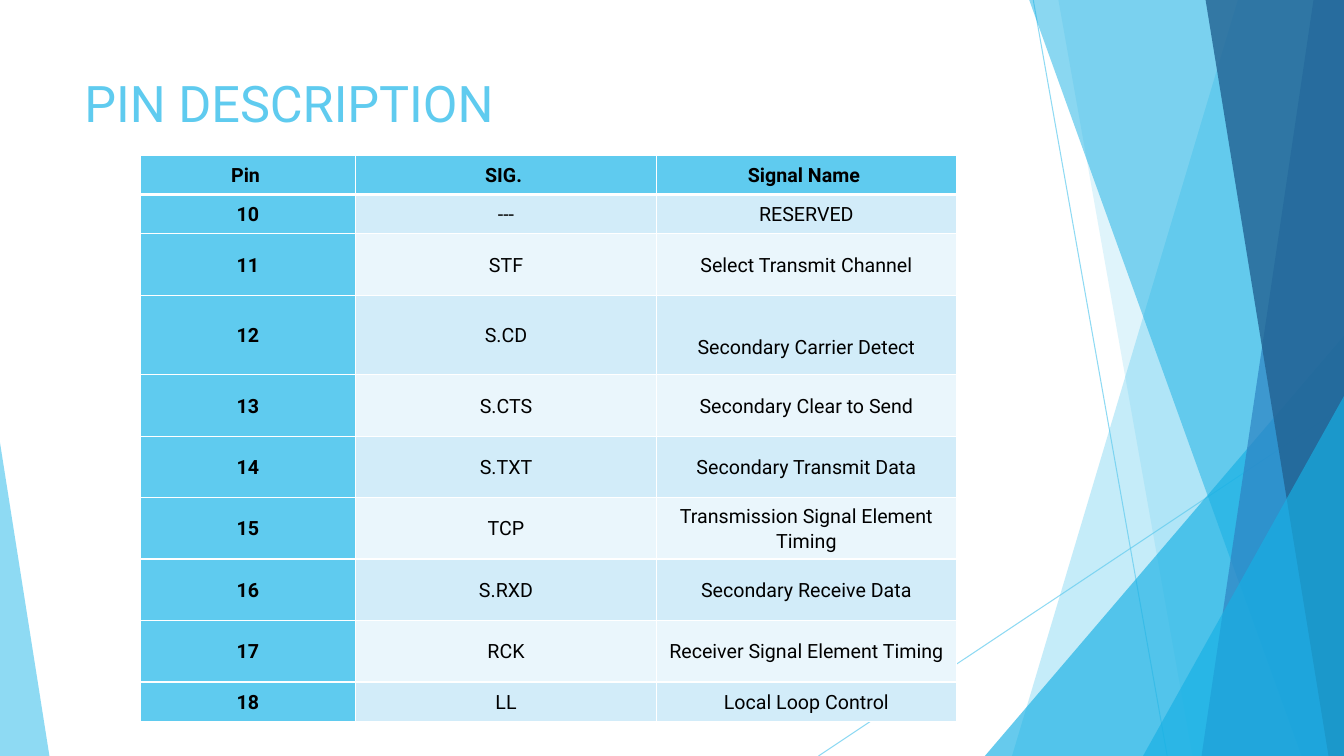
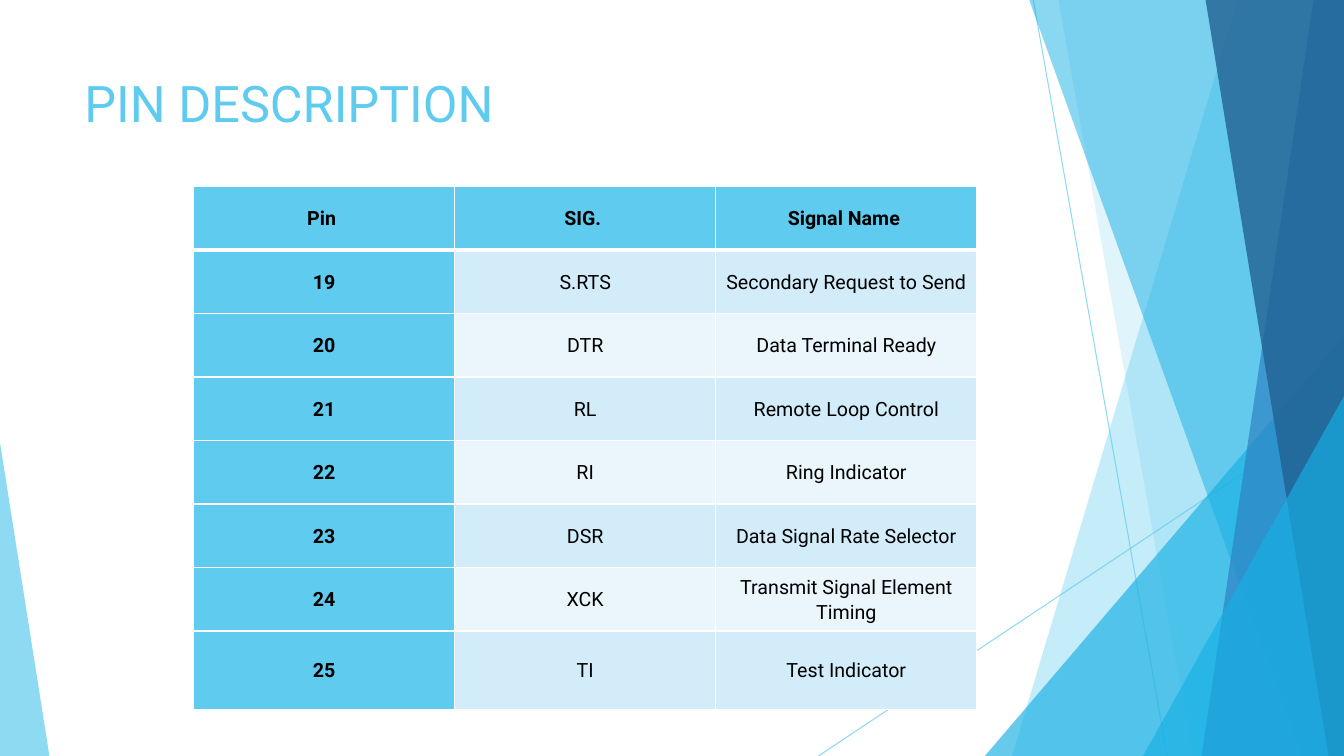
from dataclasses import dataclass

from lxml import etree
from pptx import Presentation
from pptx import util as u
from pptx.dml.color import RGBColor
from pptx.enum import shapes, text
from pptx.oxml.ns import qn


@dataclass(frozen=True)
class Theme:
    font: str = "Roboto"
    title_size: int = 36
    cell_size: int = 14
    sky: str = "5FCBEF"
    azure: str = "17B0E4"
    blue: str = "2E83C3"
    navy: str = "226292"
    white: str = "FFFFFF"
    ink: str = "000000"
    odd_row: str = "D2ECF9"
    even_row: str = "EAF6FC"


THEME = Theme()
WIDTH, HEIGHT = u.Inches(13.33), u.Inches(7.5)
BLANK_LAYOUT = 6
CELL_INSET = u.Inches(0.01)
HEADER = ("Pin ", "SIG. ", "Signal Name ")
LOWERED = {"Secondary Carrier Detect": u.Inches(0.25)}

# All positions below are percentages of the slide's width or height.
LOW, MID, TALL = 5.2, 8.13, 10.53
PINS_10_TO_18 = [
    ("10", "---", "RESERVED"),
    ("11", "STF", "Select Transmit Channel"),
    ("12", "S.CD", "Secondary Carrier Detect"),
    ("13", "S.CTS", "Secondary Clear to Send"),
    ("14", "S.TXT", "Secondary Transmit Data"),
    ("15", "TCP", "Transmission Signal Element Timing"),
    ("16", "S.RXD", "Secondary Receive Data"),
    ("17", "RCK", "Receiver Signal Element Timing"),
    ("18", "LL", "Local Loop Control"),
]
PINS_19_TO_25 = [
    ("19", "S.RTS", "Secondary Request to Send"),
    ("20", "DTR", "Data Terminal Ready"),
    ("21", "RL", "Remote Loop Control"),
    ("22", "RI", "Ring Indicator"),
    ("23", "DSR", "Data Signal Rate Selector"),
    ("24", "XCK", "Transmit Signal Element Timing"),
    ("25", "TI", "Test Indicator"),
]


def across(percent):
    return u.Emu(round(WIDTH * percent / 100))


def down(percent):
    return u.Emu(round(HEIGHT * percent / 100))


def set_opacity(shape, percent):
    for color in shape._element.spPr.iter(qn("a:srgbClr")):
        etree.SubElement(color, qn("a:alpha"), val=str(percent * 1000))


def paint(shape, color, opacity):
    """Give a shape a translucent fill with no outline or shadow."""
    shape.shadow.inherit = False
    shape.fill.solid()
    shape.fill.fore_color.rgb = RGBColor.from_string(color)
    shape.line.fill.background()
    set_opacity(shape, opacity)


def add_ray(slide, start_x, start_y, end_x, end_y):
    ray = slide.shapes.add_connector(
        shapes.MSO_CONNECTOR.STRAIGHT,
        across(start_x), down(start_y), across(end_x), down(end_y))
    ray.line.width = u.Pt(0.75)
    ray.line.color.rgb = RGBColor.from_string(THEME.sky)
    set_opacity(ray, 70)
    etree.SubElement(ray._element.spPr, qn("a:effectLst"))


def add_band(slide, top_x, bottom_x, color, opacity):
    """Fill the area from a slanted left edge to the slide's right edge."""
    outline = slide.shapes.build_freeform(across(top_x), 0)
    outline.add_line_segments(
        [(WIDTH, 0), (WIDTH, HEIGHT), (across(bottom_x), HEIGHT)], close=True)
    paint(outline.convert_to_shape(), color, opacity)


def add_corner(slide, left, top, width, apex, color, opacity):
    """Add a triangle standing on the slide's bottom; apex 0 is left, 1 right."""
    corner = slide.shapes.add_shape(
        shapes.MSO_SHAPE.ISOSCELES_TRIANGLE,
        across(left), down(top), across(width), down(100 - top))
    corner.adjustments[0] = apex
    paint(corner, color, opacity)


def add_backdrop(slide):
    add_ray(slide, 76.88, 0, 86.85, 100)
    add_ray(slide, 100, 53.73, 60.9, 100)
    add_band(slide, 92.1, 75.3, THEME.sky, 36)
    add_band(slide, 78.75, 88.73, THEME.sky, 20)
    add_corner(slide, 73.28, 44.4, 26.72, 1, THEME.azure, 66)
    add_band(slide, 76.58, 96.83, THEME.azure, 50)
    add_band(slide, 97.73, 89.4, THEME.blue, 70)
    add_band(slide, 89.7, 98.85, THEME.navy, 80)
    add_corner(slide, 85.05, 52.4, 14.95, 1, THEME.azure, 66)
    add_corner(slide, 0, 58.53, 3.68, 0, THEME.sky, 70)


def write(paragraph, words, size, color, bold=False):
    run = paragraph.add_run()
    run.text = words
    run.font.name = THEME.font
    run.font.size = u.Pt(size)
    run.font.bold = bold
    run.font.color.rgb = RGBColor.from_string(color)


def add_title(slide, words, height):
    frame = slide.shapes.add_textbox(
        across(5.55), down(8.93), across(70.5), down(height)).text_frame
    frame.word_wrap = True
    write(frame.paragraphs[0], words, THEME.title_size, THEME.sky)


def set_borders(cell, top, bottom):
    """Draw white borders; top and bottom are widths in points."""
    properties = cell._tc.get_or_add_tcPr()
    for side, width in (("L", 1), ("R", 1), ("T", top), ("B", bottom)):
        border = etree.SubElement(
            properties, qn(f"a:ln{side}"), w=str(u.Pt(width)))
        fill = etree.SubElement(border, qn("a:solidFill"))
        etree.SubElement(fill, qn("a:srgbClr"), val=THEME.white)


def fill_cell(cell, words, row, column):
    heading = row == 0 or column == 0
    body_color = THEME.odd_row if row % 2 else THEME.even_row
    set_borders(cell, top=3 if row == 1 else 1, bottom=3 if row == 0 else 1)
    cell.fill.solid()
    cell.fill.fore_color.rgb = RGBColor.from_string(
        THEME.sky if heading else body_color)
    cell.margin_left = cell.margin_right = cell.margin_bottom = CELL_INSET
    cell.margin_top = LOWERED.get(words, CELL_INSET)
    cell.vertical_anchor = text.MSO_ANCHOR.MIDDLE
    paragraph = cell.text_frame.paragraphs[0]
    paragraph.alignment = text.PP_ALIGN.CENTER
    paragraph.line_spacing = 1.07
    write(paragraph, words, THEME.cell_size, THEME.ink, heading)


def add_pin_table(slide, left, top, widths, heights, pins):
    table = slide.shapes.add_table(
        len(heights), len(widths), across(left), down(top),
        across(sum(widths)), down(sum(heights))).table
    table.horz_banding = False
    for column, width in zip(table.columns, widths):
        column.width = across(width)
    for row, height in zip(table.rows, heights):
        row.height = down(height)
    for r, signal in enumerate([HEADER, *pins]):
        for c, words in enumerate(signal):
            fill_cell(table.cell(r, c), words, r, c)


def add_pin_slide(deck, title_height, **table):
    slide = deck.slides.add_slide(deck.slide_layouts[BLANK_LAYOUT])
    add_backdrop(slide)
    add_title(slide, "PIN DESCRIPTION", title_height)
    add_pin_table(slide, **table)


def main():
    deck = Presentation()
    deck.slide_width, deck.slide_height = WIDTH, HEIGHT
    add_pin_slide(
        deck, 9.47, left=10.43, top=20.53, widths=[16.05, 22.35, 22.35],
        heights=[LOW, LOW, MID, TALL, *[MID] * 5, LOW], pins=PINS_10_TO_18)
    add_pin_slide(
        deck, 13.6, left=14.4, top=24.67, widths=[19.43] * 3,
        heights=[*[8.4] * 7, 10.4], pins=PINS_19_TO_25)
    deck.save("out.pptx")


if __name__ == "__main__":
    main()
